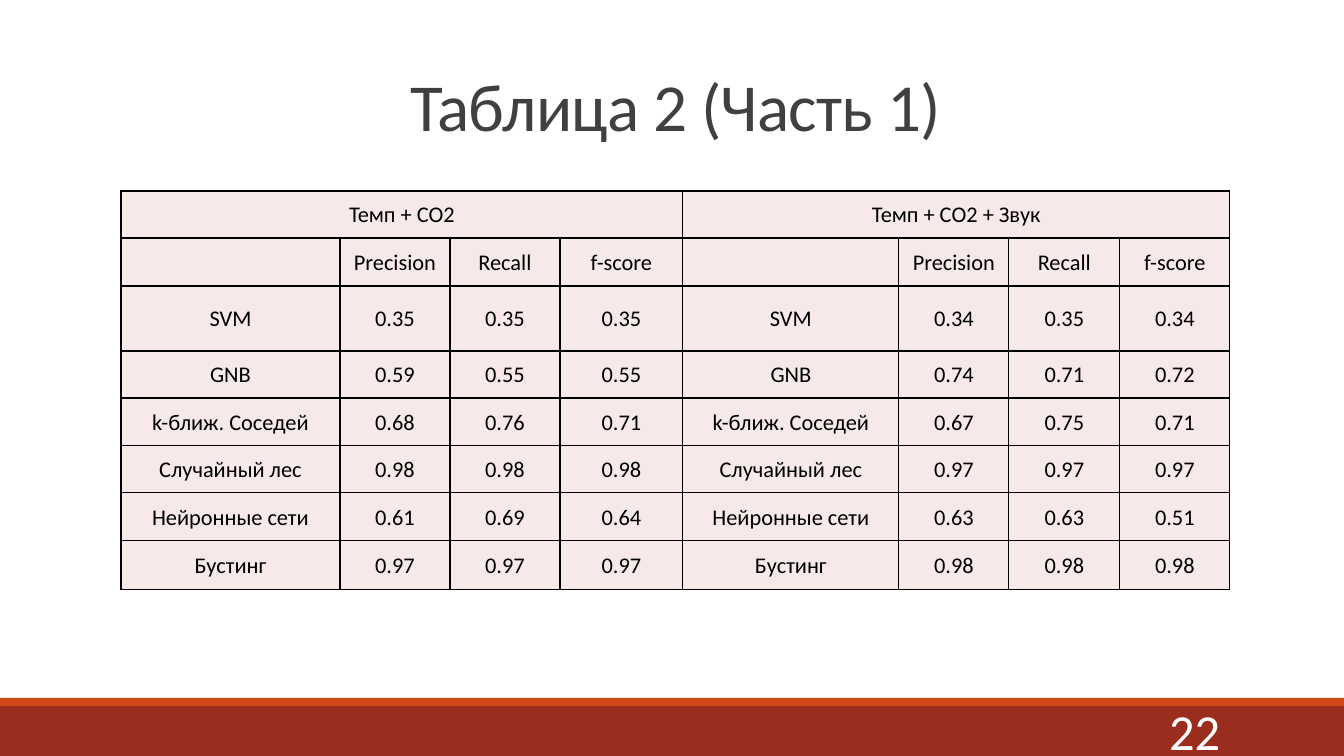
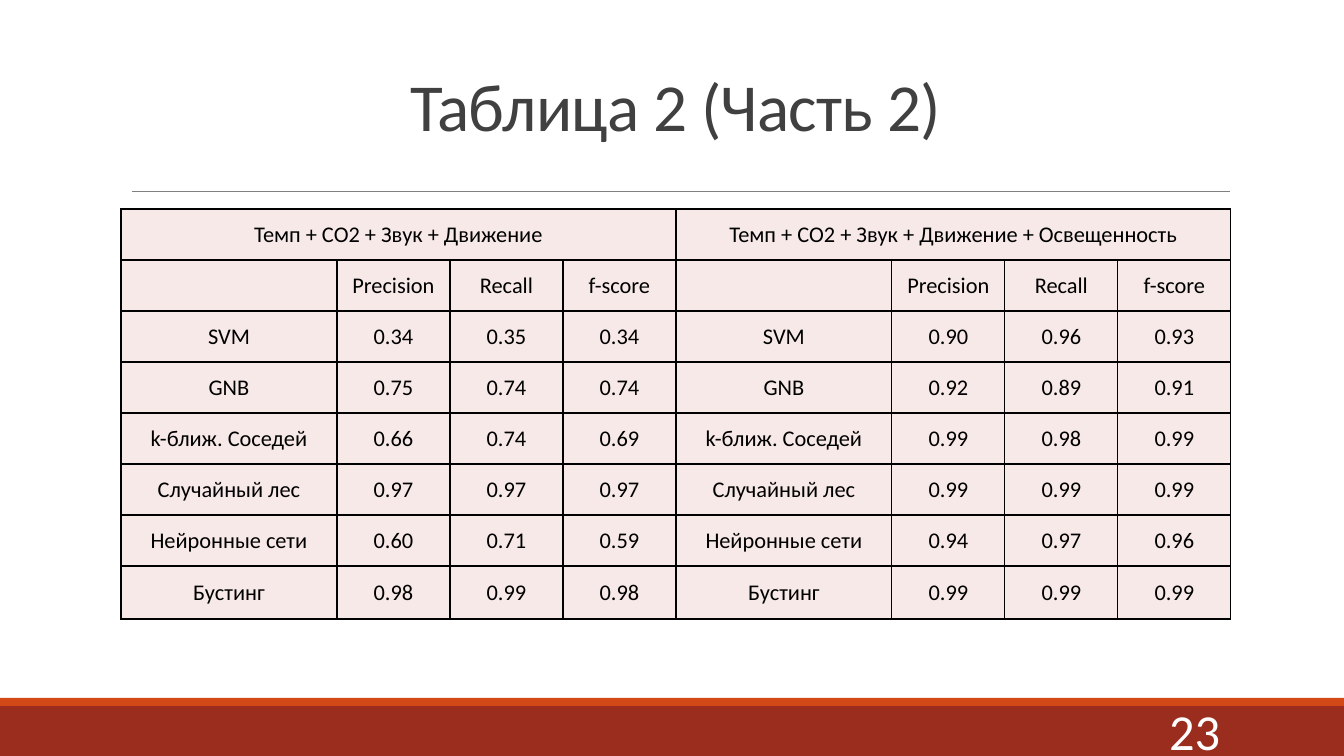
from lxml import etree
from pptx import Presentation
from pptx import util as u
from pptx.dml.color import RGBColor
from pptx.enum import shapes, text
from pptx.oxml import ns

SCALE = 914400 / 100.8
WIDTH, HEIGHT = 1344, 756
FONT = "Calibri"
COLORS = {
    "band": "9B2D1F",
    "stripe": "D34817",
    "rule": "808080",
    "title": "404040",
    "cell": "F7E9E8",
    "ink": "000000",
    "number": "FFFFFF",
}
METRICS = ["Precision", "Recall", "f-score"]
METHODS = ["SVM", "GNB", "k-ближ. Соседей", "Случайный лес", "Нейронные сети", "Бустинг"]
GROUP = 1 + len(METRICS)

SLIDES = [
    {
        "title": "Таблица 2 (Часть 1)",
        "number": "22",
        "top": 191,
        "columns": [219, 110, 110, 123, 216, 110, 111, 110],
        "rows": [47, 48, 65, 47, 48, 47, 48, 49],
        "groups": {
            "Темп + СО2": [
                "0.35 0.35 0.35", "0.59 0.55 0.55", "0.68 0.76 0.71",
                "0.98 0.98 0.98", "0.61 0.69 0.64", "0.97 0.97 0.97",
            ],
            "Темп + СО2 + Звук": [
                "0.34 0.35 0.34", "0.74 0.71 0.72", "0.67 0.75 0.71",
                "0.97 0.97 0.97", "0.63 0.63 0.51", "0.98 0.98 0.98",
            ],
        },
    },
    {
        "title": "Таблица 2 (Часть 2)",
        "number": "23",
        "top": 209,
        "columns": [216, 113, 113, 113] * 2,
        "rows": [51] * 7 + [53],
        "groups": {
            "Темп + СО2 + Звук + Движение": [
                "0.34 0.35 0.34", "0.75 0.74 0.74", "0.66 0.74 0.69",
                "0.97 0.97 0.97", "0.60 0.71 0.59", "0.98 0.99 0.98",
            ],
            "Темп + СО2 + Звук + Движение + Освещенность": [
                "0.90 0.96 0.93", "0.92 0.89 0.91", "0.99 0.98 0.99",
                "0.99 0.99 0.99", "0.94 0.97 0.96", "0.99 0.99 0.99",
            ],
        },
    },
]


def px(length):
    return u.Emu(round(length * SCALE))


def color(name):
    return RGBColor.from_string(COLORS[name])


def write(frame, words, *, size, ink, align=text.PP_ALIGN.CENTER, leading=None, spacing=None):
    frame.word_wrap = True
    frame.vertical_anchor = text.MSO_ANCHOR.MIDDLE
    para = frame.paragraphs[0]
    para.alignment = align
    if leading:
        para.line_spacing = leading
    span = para.add_run()
    span.text = words
    span.font.name = FONT
    span.font.size = u.Pt(size)
    span.font.color.rgb = color(ink)
    if spacing:
        span.font._element.set("spc", str(round(spacing * 100)))


def add_text(page, words, left, top, width, height, **style):
    box = page.shapes.add_textbox(px(left), px(top), px(width), px(height))
    write(box.text_frame, words, **style)


def add_band(page, top, height, fill):
    band = page.shapes.add_shape(
        shapes.MSO_SHAPE.RECTANGLE, 0, px(top), px(WIDTH), px(height))
    band.shadow.inherit = False
    band.fill.solid()
    band.fill.fore_color.rgb = color(fill)
    band.line.fill.background()


def add_rule(page, left, right, y):
    rule = page.shapes.add_connector(
        shapes.MSO_CONNECTOR.STRAIGHT, px(left), px(y), px(right), px(y))
    rule.line.color.rgb = color("rule")
    rule.line.width = u.Pt(0.5)
    etree.SubElement(rule._element.spPr, ns.qn("a:effectLst"))


def add_borders(cell):
    properties = cell._tc.get_or_add_tcPr()
    for side in ("lnL", "lnR", "lnT", "lnB"):
        line = etree.SubElement(properties, ns.qn("a:" + side), w=str(u.Pt(1)))
        fill = etree.SubElement(line, ns.qn("a:solidFill"))
        etree.SubElement(fill, ns.qn("a:srgbClr"), val=COLORS["ink"])


def format_cell(cell, words):
    cell.margin_left = cell.margin_right = cell.margin_top = px(1)
    cell.margin_bottom = 0
    cell.vertical_anchor = text.MSO_ANCHOR.MIDDLE
    add_borders(cell)
    cell.fill.solid()
    cell.fill.fore_color.rgb = color("cell")
    if words:
        write_cell(cell, words)


def write_cell(cell, words):
    para = cell.text_frame.paragraphs[0]
    para.alignment = text.PP_ALIGN.CENTER
    span = para.add_run()
    span.text = words
    span.font.name = FONT
    span.font.size = u.Pt(16)
    span.font.color.rgb = color("ink")


def table_rows(groups):
    heading, metrics = [], []
    bodies = [[] for method in METHODS]
    for name, scores in groups.items():
        heading += [name] + [""] * len(METRICS)
        metrics += [""] + METRICS
        for body, method, values in zip(bodies, METHODS, scores):
            body += [method] + values.split()
    return [heading, metrics] + bodies


def add_scores(page, top, columns, rows, groups):
    table = page.shapes.add_table(
        len(rows), len(columns), px(121), px(top), px(sum(columns)), px(sum(rows))).table
    for column, width in zip(table.columns, columns):
        column.width = px(width)
    for row, height in zip(table.rows, rows):
        row.height = px(height)
    for y, row in enumerate(table_rows(groups)):
        for x, words in enumerate(row):
            format_cell(table.cell(y, x), words)
    for start in range(0, len(columns), GROUP):
        table.cell(0, start).merge(table.cell(0, start + GROUP - 1))


def add_frame(page, title, number):
    add_band(page, 706, 50, "band")
    add_band(page, 698, 8, "stripe")
    add_rule(page, 132, 1230, 191)
    add_text(page, title, 121, 31, 1109, 160,
             size=48, ink="title", leading=0.85, spacing=-0.5)
    add_text(page, number, 1086, 710, 144, 40,
             size=36, ink="number", align=text.PP_ALIGN.RIGHT)


def main():
    deck = Presentation()
    deck.slide_width, deck.slide_height = px(WIDTH), px(HEIGHT)
    for content in SLIDES:
        page = deck.slides.add_slide(deck.slide_layouts[6])
        add_frame(page, content["title"], content["number"])
        add_scores(page, content["top"], content["columns"], content["rows"], content["groups"])
    deck.save("out.pptx")


main()
